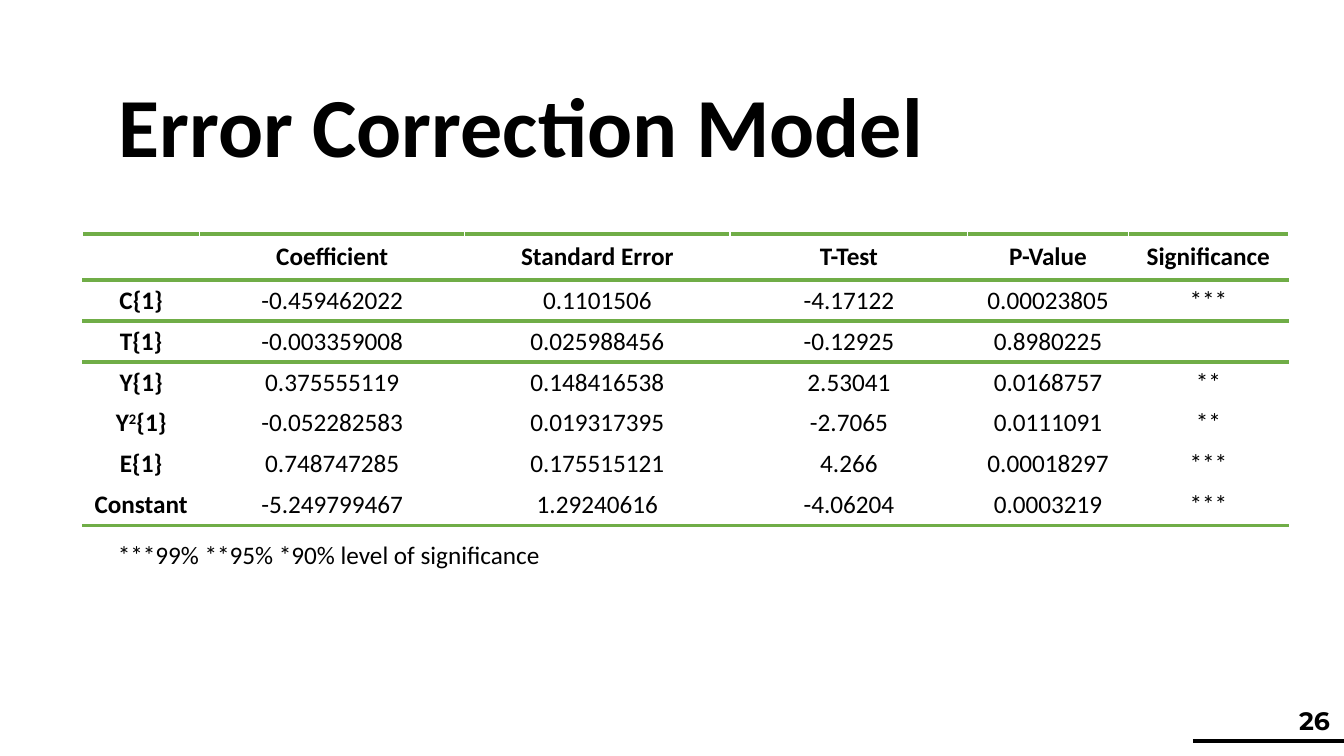
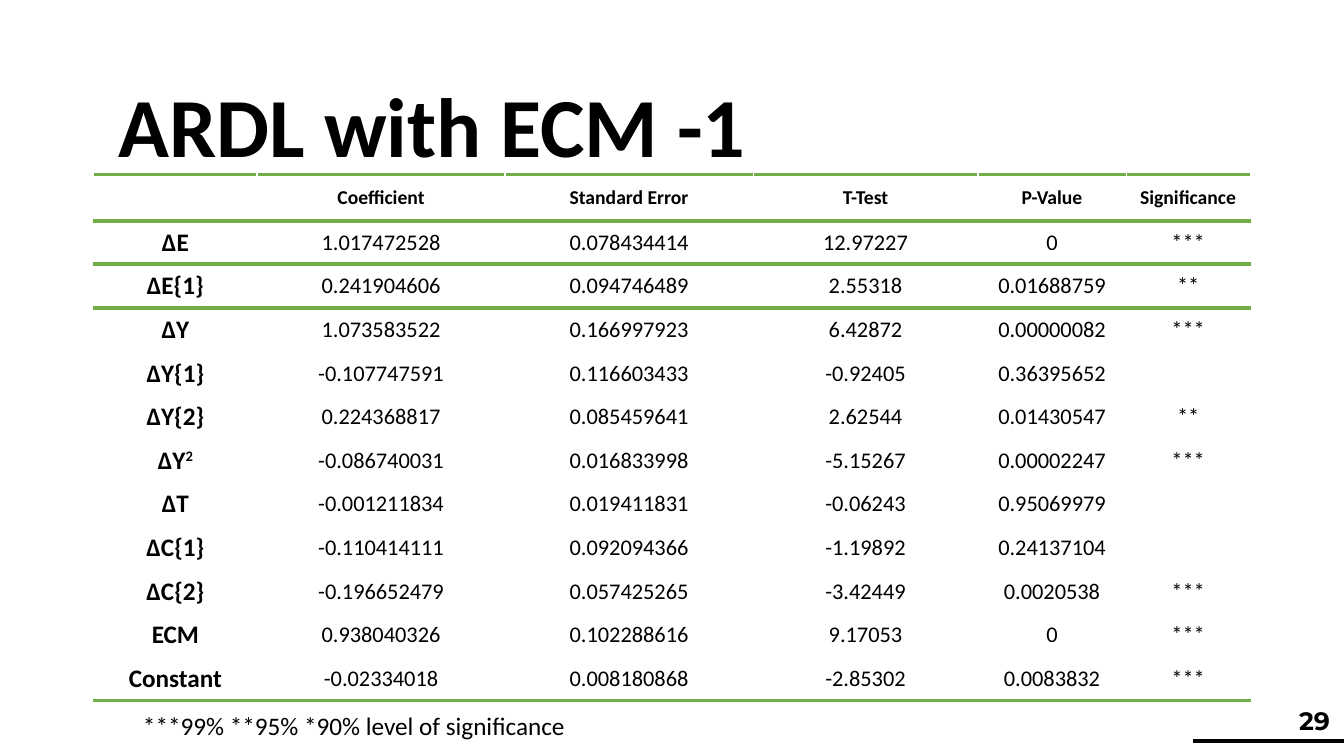
from lxml import etree
from pptx import Presentation
from pptx import util as u
from pptx.dml.color import RGBColor
from pptx.enum import shapes, text
from pptx.oxml.ns import qn

# Content: "^" marks the next character as superscript
HEADERS = ["", "Coefficient", "Standard Error", "T-Test", "P-Value", "Significance"]
NOTE = "***99% **95% *90% level of significance"

PAGES = [
    {
        "title": "Error Correction Model", "number": "26",
        "table_at": (82, 232), "table_height": 289, "note_at": (107, 530),
        "columns": [116, 263, 263, 236, 159, 159],
        "header_size": 18, "value_size": 18,
        "rows": [
            ("C{1}", "-0.459462022", "0.1101506", "-4.17122", "0.00023805", "***"),
            ("T{1}", "-0.003359008", "0.025988456", "-0.12925", "0.8980225", ""),
            ("Y{1}", "0.375555119", "0.148416538", "2.53041", "0.0168757", "**"),
            ("Y^2{1}", "-0.052282583", "0.019317395", "-2.7065", "0.0111091", "**"),
            ("E{1}", "0.748747285", "0.175515121", "4.266", "0.00018297", "***"),
            ("Constant", "-5.249799467", "1.29240616", "-4.06204", "0.0003219", "***"),
        ],
    },
    {
        "title": "ARDL with ECM -1", "number": "29",
        "table_at": (93, 173), "table_height": 522, "note_at": (132, 700),
        "columns": [162, 246, 246, 223, 147, 123],
        "header_size": 14, "value_size": 16,
        "rows": [
            ("ΔE", "1.017472528", "0.078434414", "12.97227", "0", "***"),
            ("ΔE{1}", "0.241904606", "0.094746489", "2.55318", "0.01688759", "**"),
            ("ΔY", "1.073583522", "0.166997923", "6.42872", "0.00000082", "***"),
            ("ΔY{1}", "-0.107747591", "0.116603433", "-0.92405", "0.36395652", ""),
            ("ΔY{2}", "0.224368817", "0.085459641", "2.62544", "0.01430547", "**"),
            ("ΔY^2", "-0.086740031", "0.016833998", "-5.15267", "0.00002247", "***"),
            ("ΔT", "-0.001211834", "0.019411831", "-0.06243", "0.95069979", ""),
            ("ΔC{1}", "-0.110414111", "0.092094366", "-1.19892", "0.24137104", ""),
            ("ΔC{2}", "-0.196652479", "0.057425265", "-3.42449", "0.0020538", "***"),
            ("ECM", "0.938040326", "0.102288616", "9.17053", "0", "***"),
            ("Constant", "-0.02334018", "0.008180868", "-2.85302", "0.0083832", "***"),
        ],
    },
]

# Shared style
BLACK, GREEN = "000000", "70AD47"
BODY_FONT, NUMBER_FONT = "Calibri", "Montserrat"
LABEL_SIZE = 18
HEADER_HEIGHT = 46
RULE_WIDTH = 3
ALIGN = text.PP_ALIGN
MIDDLE = text.MSO_ANCHOR.MIDDLE


def px(length):
    return u.Emu(round(length * 9144))


def colour(value):
    return RGBColor.from_string(value)


def style(span, size, bold=False, font=BODY_FONT):
    span.font.size = u.Pt(size)
    span.font.bold = bold
    span.font.name = font
    span.font.color.rgb = colour(BLACK)


def add_text(page, words, at, size, bold=False, font=BODY_FONT, wrap=True):
    box = page.shapes.add_textbox(*map(px, at))
    box.text_frame.word_wrap = wrap
    box.text_frame.text = words
    para = box.text_frame.paragraphs[0]
    style(para.runs[0], size, bold, font)
    return box.text_frame, para


def add_frame(page, title, number):
    """Title, page number and corner line of every page."""
    line = page.shapes.add_connector(
        shapes.MSO_CONNECTOR.STRAIGHT, px(1183), px(735), px(1333), px(735))
    line.line.color.rgb = colour(BLACK)
    line.line.width = u.Pt(RULE_WIDTH)
    etree.SubElement(line._element.spPr, qn("a:effectLst"))

    para = add_text(page, number, (1029, 695, 300, 40), 18, True, NUMBER_FONT)[1]
    para.alignment = ALIGN.RIGHT
    frame, para = add_text(page, title, (108, 57, 1150, 145), 60, True)
    frame.vertical_anchor = MIDDLE
    para.line_spacing = 0.9


def add_rule(cell, side):
    rule = etree.SubElement(cell._tc.get_or_add_tcPr(), qn("a:" + side),
                            w=str(u.Pt(RULE_WIDTH)))
    fill = etree.SubElement(rule, qn("a:solidFill"))
    etree.SubElement(fill, qn("a:srgbClr"), val=GREEN)


def fill_cell(cell, words, size, bold):
    cell.fill.background()
    cell.vertical_anchor = MIDDLE
    para = cell.text_frame.paragraphs[0]
    para.alignment = ALIGN.CENTER
    base, _, rest = words.partition("^")
    for index, part in enumerate((base, rest[:1], rest[1:])):
        if part:
            span = para.add_run()
            span.text = part
            style(span, size, bold)
            if index == 1:
                span._r.get_or_add_rPr().set("baseline", "30000")


def add_results(page, data):
    rows = [HEADERS] + data["rows"]
    columns = data["columns"]
    height = data["table_height"]
    left, top = data["table_at"]
    table = page.shapes.add_table(
        len(rows), len(columns), px(left), px(top), px(sum(columns)), px(height)).table
    table.first_row = table.horz_banding = False
    for column, width in zip(table.columns, columns):
        column.width = px(width)

    ruled_edges = (0, 1, 2, len(rows))
    row_height = (height - HEADER_HEIGHT) / (len(rows) - 1)
    for r, row in enumerate(rows):
        table.rows[r].height = px(row_height if r else HEADER_HEIGHT)
        for c, words in enumerate(row):
            cell = table.cell(r, c)
            for side, edge in (("lnT", r), ("lnB", r + 1)):
                if edge in ruled_edges:
                    add_rule(cell, side)
            size = (data["header_size"] if r == 0
                    else LABEL_SIZE if c == 0 else data["value_size"])
            fill_cell(cell, words, size, bold=r == 0 or c == 0)


def main():
    deck = Presentation()
    deck.slide_width, deck.slide_height = px(1333), px(750)
    for data in PAGES:
        page = deck.slides.add_slide(deck.slide_layouts[6])
        add_results(page, data)
        add_frame(page, data["title"], data["number"])
        add_text(page, NOTE, (*data["note_at"], 444, 40), 18, wrap=False)
    deck.save("out.pptx")


if __name__ == "__main__":
    main()
